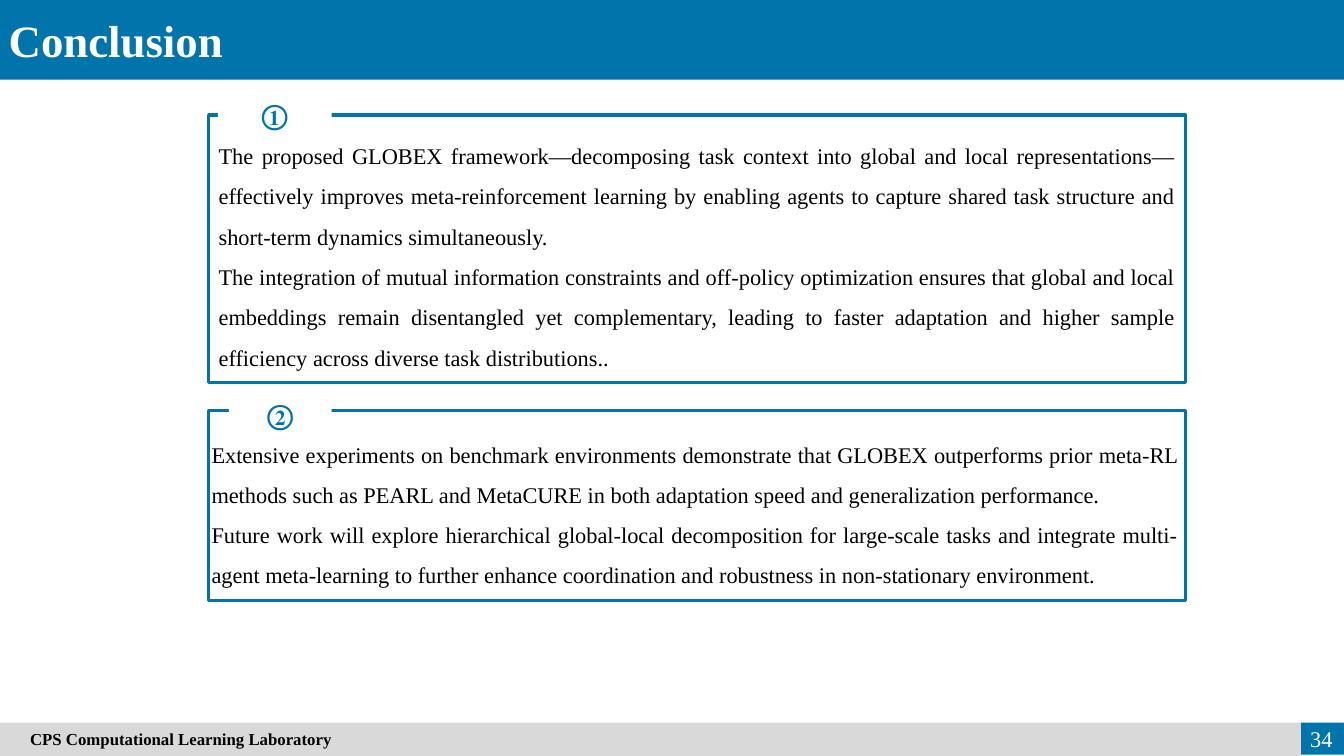
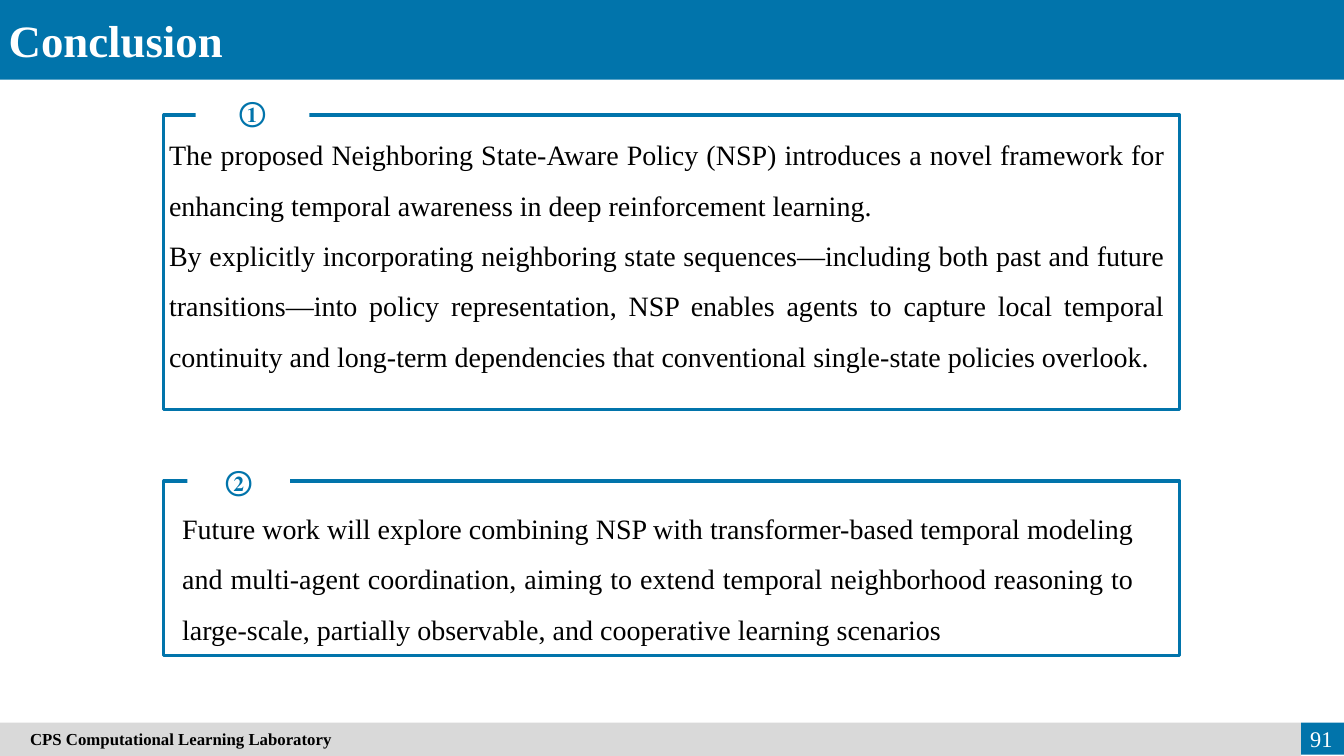
from dataclasses import dataclass

import pptx
import pptx.dml.color
import pptx.enum.shapes
import pptx.enum.text
import pptx.oxml
import pptx.oxml.ns
import pptx.util

Cm = pptx.util.Cm
Align = pptx.enum.text.PP_ALIGN
Anchor = pptx.enum.text.MSO_ANCHOR

BLUE, GREY, WHITE, BLACK = "0174AB", "D9D9D9", "FFFFFF", "000000"
FONT = "Times New Roman"
WIDE, HIGH = 33.87, 19.05
FOOT_TOP, FOOT_WIDE = 18.21, 32.79


@dataclass
class Box:
    left: float
    top: float
    width: float
    height: float

    def lengths(self):
        return [Cm(n) for n in (self.left, self.top, self.width, self.height)]


@dataclass
class Panel:
    mark: str
    frame: Box
    tag: Box
    body: Box
    size: int
    lines: list[str]


@dataclass
class Page:
    number: str
    panels: list[Panel]


PAGES = [
    Page("34", [
        Panel("①", Box(5.26, 2.9, 24.61, 6.73), Box(5.49, 2.18, 2.87, 1.4),
              Box(5.26, 3.12, 24.61, 6.35), 16, [
            "The proposed GLOBEX framework—decomposing task context into global and local "
            "representations—effectively improves meta-reinforcement learning by enabling agents "
            "to capture shared task structure and short-term dynamics simultaneously.",
            "The integration of mutual information constraints and off-policy optimization ensures "
            "that global and local embeddings remain disentangled yet complementary, leading to "
            "faster adaptation and higher sample efficiency across diverse task distributions..",
        ]),
        Panel("②", Box(5.26, 10.34, 24.61, 4.8), Box(5.77, 9.75, 2.59, 1.4),
              Box(5.08, 10.64, 24.87, 4.24), 16, [
            "Extensive experiments on benchmark environments demonstrate that GLOBEX outperforms "
            "prior meta-RL methods such as PEARL and MetaCURE in both adaptation speed and "
            "generalization performance.",
            "Future work will explore hierarchical global-local decomposition for large-scale tasks "
            "and integrate multi-agent meta-learning to further enhance coordination and robustness "
            "in non-stationary environment.",
        ]),
    ]),
    Page("91", [
        Panel("①", Box(4.13, 2.9, 25.6, 7.42), Box(4.93, 2.11, 2.87, 1.4),
              Box(4.01, 2.92, 25.6, 6.5), 20, [
            "The proposed Neighboring State-Aware Policy (NSP) introduces a novel framework for "
            "enhancing temporal awareness in deep reinforcement learning.",
            "By explicitly incorporating neighboring state sequences—including both past and future "
            "transitions—into policy representation, NSP enables agents to capture local temporal "
            "continuity and long-term dependencies that conventional single-state policies overlook.",
        ]),
        Panel("②", Box(4.13, 12.12, 25.6, 4.39), Box(4.72, 11.4, 2.59, 1.4),
              Box(4.34, 12.34, 24.49, 3.96), 20, [
            "Future work will explore combining NSP with transformer-based temporal modeling and "
            "multi-agent coordination, aiming to extend temporal neighborhood reasoning to "
            "large-scale, partially observable, and cooperative learning scenarios",
        ]),
    ]),
]


def color(code: str) -> pptx.dml.color.RGBColor:
    return pptx.dml.color.RGBColor.from_string(code)


def place(shape, box: Box) -> None:
    shape.left, shape.top, shape.width, shape.height = box.lengths()


def write(shape, *lines: str, size: int, ink: str = BLACK, bold: bool = False,
          align=Align.LEFT, anchor=Anchor.TOP, pace: float = 1.0, inset: float = 0.25) -> None:
    """Fill a shape with plain paragraphs, free of bullets and indents."""
    frame = shape.text_frame
    frame.word_wrap = True
    frame.auto_size = pptx.enum.text.MSO_AUTO_SIZE.NONE
    frame.vertical_anchor = anchor
    frame.margin_left = Cm(inset)
    frame.text = "\n".join(lines)
    for para in frame.paragraphs:
        props = para._p.get_or_add_pPr()
        props.set("marL", "0")
        props.set("indent", "0")
        props.append(pptx.oxml.parse_xml(
            f'<a:buNone {pptx.oxml.ns.nsdecls("a")}/>'))
        para.alignment = align
        para.line_spacing = pace
        para.space_before = para.space_after = pptx.util.Pt(0)
        font = para.font
        font.name, font.size, font.bold = FONT, pptx.util.Pt(size), bold
        font.color.rgb = color(ink)


def block(slide, box: Box, fill: str = "", line: str = ""):
    shape = slide.shapes.add_shape(
        pptx.enum.shapes.MSO_SHAPE.RECTANGLE, *box.lengths())
    shape.shadow.inherit = False
    if fill:
        shape.fill.solid()
        shape.fill.fore_color.rgb = color(fill)
    else:
        shape.fill.background()
    if line:
        shape.line.color.rgb = color(line)
        shape.line.width = pptx.util.Pt(2.25)
    else:
        shape.line.fill.background()
    return shape


def dress(layout, slide) -> None:
    """Draw the bands on a slide, then move them behind all else on its layout."""
    head = block(slide, Box(0, 0, WIDE, 2.01), fill=BLUE)
    foot = block(slide, Box(0, FOOT_TOP, FOOT_WIDE, HIGH - FOOT_TOP), fill=GREY)
    write(foot, "CPS Computational Learning Laboratory", size=12, bold=True,
          anchor=Anchor.MIDDLE, inset=0.76)
    end = block(slide, Box(FOOT_WIDE, FOOT_TOP, WIDE - FOOT_WIDE, 0.81), fill=BLUE)
    for spot, band in enumerate((head, foot, end), start=2):
        layout.shapes.element.insert(spot, band.element)


def draw(slide, panel: Panel, body) -> None:
    block(slide, panel.frame, line=BLUE)
    tag = block(slide, panel.tag, fill=WHITE)
    write(tag, panel.mark, size=20, ink=BLUE, bold=True,
          align=Align.CENTER, anchor=Anchor.MIDDLE)
    place(body, panel.body)
    write(body, *panel.lines, size=panel.size, align=Align.JUSTIFY, pace=1.5)


def build(slide, page: Page) -> None:
    title, *bodies = slide.placeholders
    write(title, "Conclusion", size=32, ink=WHITE, bold=True, align=Align.JUSTIFY)
    for panel, body in zip(page.panels, bodies):
        draw(slide, panel, body)
    number = slide.shapes.add_textbox(*Box(32.23, 18.11, 1.6, 1.02).lengths())
    write(number, page.number, size=16, ink=WHITE, align=Align.RIGHT, anchor=Anchor.MIDDLE)


def main() -> None:
    deck = pptx.Presentation()
    deck.slide_width, deck.slide_height = Cm(WIDE), Cm(HIGH)
    layout = deck.slide_layouts.get_by_name("Two Content")
    place(layout.placeholders[0], Box(-0.03, 0.2, 13.64, 1.63))
    slides = [deck.slides.add_slide(layout) for _ in PAGES]
    dress(layout, slides[0])
    for slide, page in zip(slides, PAGES):
        build(slide, page)
    deck.save("out.pptx")


if __name__ == "__main__":
    main()
